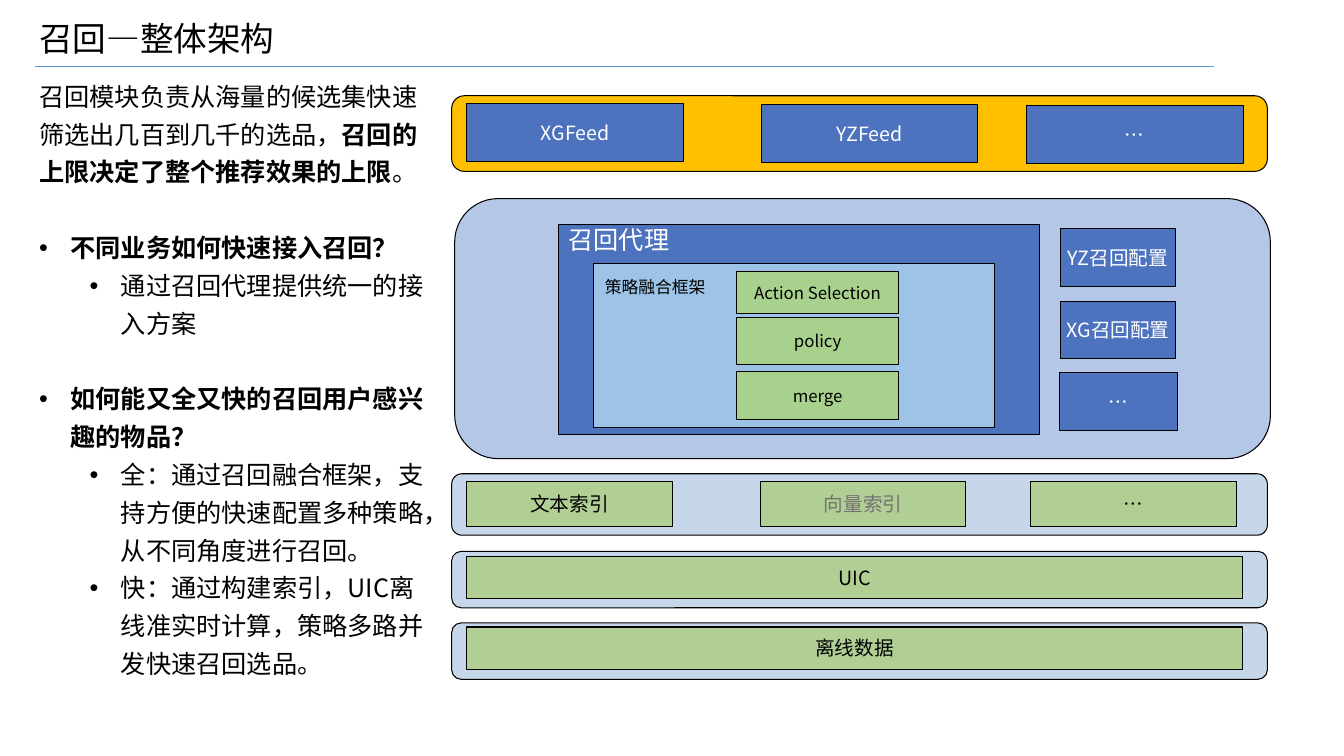
from dataclasses import dataclass

from lxml.etree import SubElement
from pptx import Presentation
from pptx.dml.color import RGBColor
from pptx.enum.shapes import MSO_CONNECTOR, MSO_SHAPE
from pptx.enum.text import MSO_ANCHOR, MSO_AUTO_SIZE, PP_ALIGN
from pptx.oxml.ns import qn
from pptx.util import Inches, Pt

FONT = "Noto Sans CJK SC"
BLACK, WHITE, GREY = "000000", "FFFFFF", "767171"
AMBER, PERIWINKLE, PALE_BLUE, SKY = "FFC000", "B4C7E7", "C6D7EA", "9DC3E6"
BLUE, SAGE, GREEN, RULE_BLUE = "4D73BE", "B1CF95", "A9D18E", "5B9BD5"
LINE_HEIGHT = Pt(27)
HANGING = 0.31


@dataclass(frozen=True)
class Block:
    left: float
    top: float
    width: float
    height: float
    fill: str
    label: str = ""
    size: int = 14
    color: str = BLACK
    rounded: bool = False


@dataclass(frozen=True)
class Caption:
    left: float
    top: float
    width: float
    height: float
    text: str
    size: int
    color: str


@dataclass(frozen=True)
class Point:
    runs: tuple[tuple[str, bool], ...]
    indent: float = 0
    level: int = 0
    gap_before: bool = False


def band(top: float, height: float, fill: str, left: float = 4.48) -> Block:
    return Block(left, top, 8.09, height, fill, rounded=True)


ARCHITECTURE = [
    band(0.95, 0.75, AMBER),
    *(Block(left, top, 2.15, 0.57, BLUE, label, color=WHITE)
      for left, top, label in [(4.63, 1.03, "XGFeed"), (7.55, 1.04, "YZFeed"),
                               (10.18, 1.05, "…")]),
    band(1.97, 2.58, PERIWINKLE, left=4.51),
    Block(5.54, 2.23, 4.77, 2.08, BLUE),
    Block(5.89, 2.61, 3.97, 1.63, SKY),
    *(Block(7.31, top, 1.6, height, GREEN, label, size=12)
      for top, height, label in [(2.69, 0.42, "Action Selection"),
                                 (3.15, 0.47, "policy"), (3.69, 0.47, "merge")]),
    *(Block(left, top, width, 0.57, BLUE, label, color=WHITE)
      for left, top, width, label in [(10.52, 2.27, 1.14, "YZ召回配置"),
                                      (10.52, 2.99, 1.14, "XG召回配置"),
                                      (10.51, 3.7, 1.17, "…")]),
    band(4.7, 0.61, PALE_BLUE),
    *(Block(left, 4.78, 2.04, 0.44, SAGE, label, color=color)
      for left, label, color in [(4.63, "文本索引", BLACK), (7.54, "向量索引", GREY),
                                 (10.22, "…", BLACK)]),
    band(5.47, 0.56, PALE_BLUE),
    Block(4.63, 5.52, 7.69, 0.42, SAGE, "UIC"),
    band(6.18, 0.56, PALE_BLUE),
    Block(4.63, 6.22, 7.69, 0.42, SAGE, "离线数据"),
]

CAPTIONS = [
    Caption(5.54, 2.18, 1.21, 0.4, "召回代理", 18, WHITE),
    Caption(5.9, 2.7, 1.21, 0.3, "策略融合框架", 12, BLACK),
]

POINTS = [
    Point((("召回模块负责从海量的候选集快速筛选出几百到几千的选品，", False),
           ("召回的上限决定了整个推荐效果的上限", True), ("。", False))),
    Point((("不同业务如何快速接入召回？", True),), HANGING, gap_before=True),
    Point((("通过召回代理提供统一的接入方案", False),), 0.81, 1),
    Point((("如何能又全又快的召回用户感兴趣的物品？", True),), HANGING, gap_before=True),
    Point((("全：通过召回融合框架，支持方便的快速配置多种策略，从不同角度进行召回。", False),),
          0.81, 1),
    Point((("快：通过构建索引，UIC离线准实时计算，策略多路并发快速召回选品。", False),),
          0.81, 1),
]


def rgb(value: str) -> RGBColor:
    return RGBColor.from_string(value)


def apply_format(target, values: dict) -> None:
    for name, value in values.items():
        setattr(target, name, value)


def add_run(paragraph, text: str, size: int, color: str, bold: bool = False) -> None:
    run = paragraph.add_run()
    run.text = text
    apply_format(run.font, {"size": Pt(size), "bold": bold, "name": FONT})
    run.font.color.rgb = rgb(color)
    SubElement(run.font._element, qn("a:ea"), typeface=FONT)


def place(shape, left: float, top: float, width: float, height: float) -> None:
    apply_format(shape, {"left": Inches(left), "top": Inches(top),
                         "width": Inches(width), "height": Inches(height)})


def draw_title(slide, text: str) -> None:
    title = slide.shapes.title
    place(title, 0.29, 0.13, 2.58, 0.5)
    apply_format(title.text_frame, {"word_wrap": False, "auto_size": MSO_AUTO_SIZE.NONE,
                                    "vertical_anchor": MSO_ANCHOR.MIDDLE})
    paragraph = title.text_frame.paragraphs[0]
    paragraph.alignment = PP_ALIGN.LEFT
    add_run(paragraph, text, 24, BLACK)


def draw_title_rule(slide) -> None:
    rule = slide.shapes.add_connector(MSO_CONNECTOR.STRAIGHT, Inches(0.35), Inches(0.66),
                                      Inches(12.04), Inches(0.66))
    rule.line.color.rgb = rgb(RULE_BLUE)
    rule.line.width = Pt(1)
    SubElement(rule._element.spPr, qn("a:effectLst"))


def draw_block(slide, block: Block) -> None:
    preset = MSO_SHAPE.ROUNDED_RECTANGLE if block.rounded else MSO_SHAPE.RECTANGLE
    shape = slide.shapes.add_shape(preset, Inches(block.left), Inches(block.top),
                                   Inches(block.width), Inches(block.height))
    shape.shadow.inherit = False
    shape.fill.solid()
    shape.fill.fore_color.rgb = rgb(block.fill)
    shape.line.color.rgb = rgb(BLACK)
    shape.line.width = Pt(0.75)
    if block.label:
        apply_format(shape.text_frame, {"word_wrap": False,
                                        "vertical_anchor": MSO_ANCHOR.MIDDLE})
        paragraph = shape.text_frame.paragraphs[0]
        paragraph.alignment = PP_ALIGN.CENTER
        add_run(paragraph, block.label, block.size, block.color)


def draw_caption(slide, caption: Caption) -> None:
    box = slide.shapes.add_textbox(Inches(caption.left), Inches(caption.top),
                                   Inches(caption.width), Inches(caption.height))
    box.text_frame.word_wrap = False
    add_run(box.text_frame.paragraphs[0], caption.text, caption.size, caption.color)


def draw_points(slide, points: list[Point]) -> None:
    frame = slide.shapes.add_textbox(Inches(0.29), Inches(0.68),
                                     Inches(4.08), Inches(6.12)).text_frame
    frame.word_wrap = True
    for index, point in enumerate(points):
        paragraph = frame.add_paragraph() if index else frame.paragraphs[0]
        apply_format(paragraph, {"level": point.level, "line_spacing": LINE_HEIGHT,
                                 "space_before": LINE_HEIGHT if point.gap_before else Pt(0)})
        if point.indent:
            properties = paragraph._p.get_or_add_pPr()
            properties.set("marL", str(Inches(point.indent)))
            properties.set("indent", str(-Inches(HANGING)))
            SubElement(properties, qn("a:buFont"), typeface="Arial")
            SubElement(properties, qn("a:buChar"), char="•")
        for text, bold in point.runs:
            add_run(paragraph, text, 18, BLACK, bold)


def main() -> None:
    presentation = Presentation()
    presentation.slide_width = Inches(13.33)
    presentation.slide_height = Inches(7.5)
    slide = presentation.slides.add_slide(presentation.slide_layouts[5])
    draw_title_rule(slide)
    draw_title(slide, "召回—整体架构")
    for block in ARCHITECTURE:
        draw_block(slide, block)
    for caption in CAPTIONS:
        draw_caption(slide, caption)
    draw_points(slide, POINTS)
    presentation.save("out.pptx")


if __name__ == "__main__":
    main()
